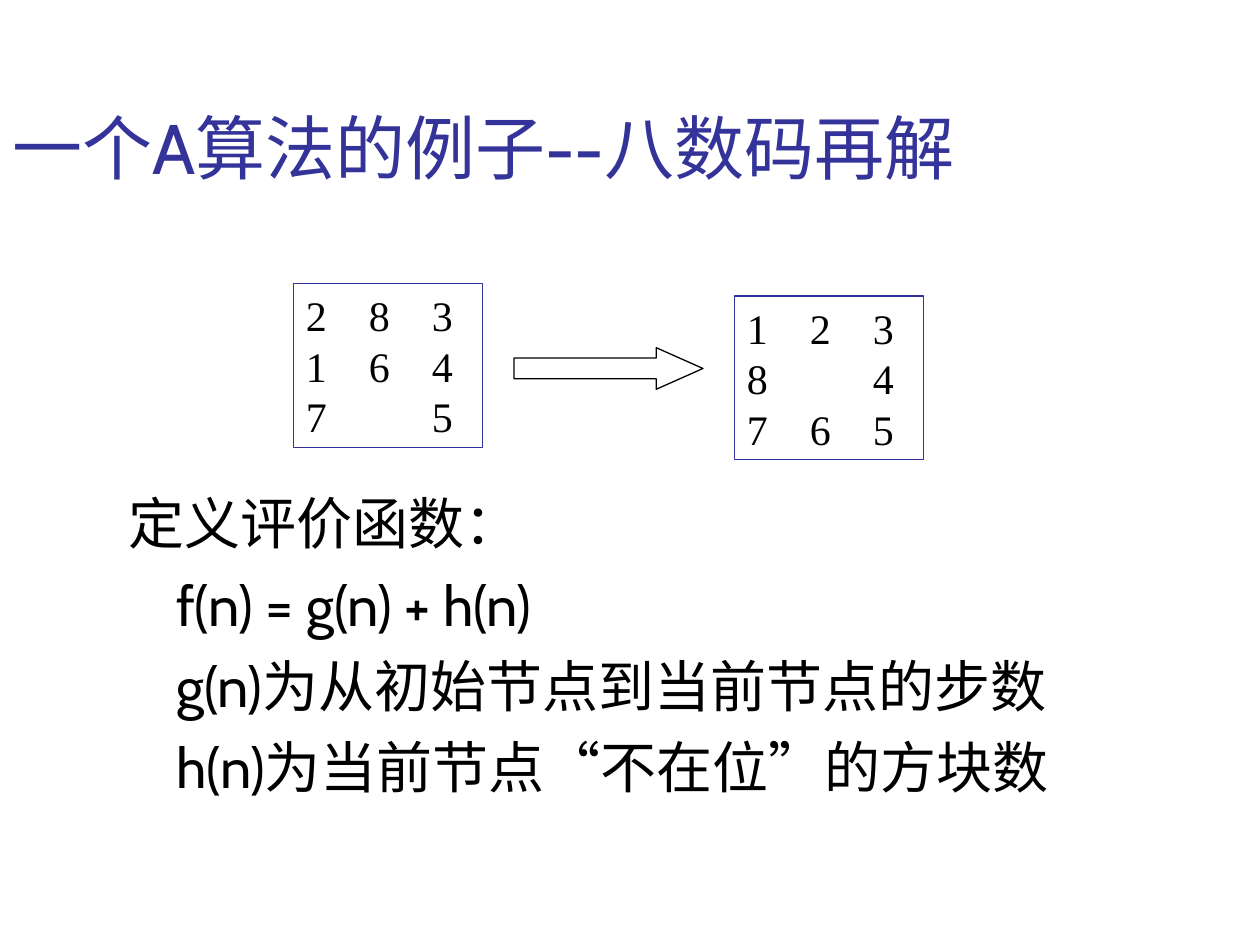
import pptx
import pptx.util
import pptx.dml.color
import pptx.enum.shapes
import pptx.enum.text
import pptx.oxml
import pptx.oxml.ns

Inches, Pt = pptx.util.Inches, pptx.util.Pt
SHAPE = pptx.enum.shapes.MSO_SHAPE
ANCHOR = pptx.enum.text.MSO_ANCHOR
LEFT = pptx.enum.text.PP_ALIGN.LEFT
NO_FIT = pptx.enum.text.MSO_AUTO_SIZE.NONE

NAVY = pptx.dml.color.RGBColor(0x33, 0x33, 0x99)
BLACK = pptx.dml.color.RGBColor(0, 0, 0)


class SlideBuilder:
    TITLE = {"size": Pt(40), "name": "Cabin"}
    BODY = {"size": Pt(32), "name": "Cabin"}
    DIGITS = {"size": Pt(24), "name": "Times New Roman"}
    COLUMN = 0.5  # distance between puzzle columns, inches

    def __init__(self, prs):
        self.s = prs.slides.add_slide(prs.slide_layouts[1])

    def place(self, sp, box):
        for name, value in zip(("left", "top", "width", "height"), box):
            setattr(sp, name, Inches(value))

    def add_text(self, p, text, style, color, **spacing):
        for name, value in {"alignment": LEFT, **spacing}.items():
            setattr(p, name, value)
        r = p.add_run()
        r.text = text
        for name, value in style.items():
            setattr(r.font, name, value)
        r.font.color.rgb = color

    def paragraphs(self, tf, count):
        for _ in range(count - 1):
            tf.add_paragraph()
        return tf.paragraphs

    def title(self, text, box):
        sp = self.s.shapes.title
        self.place(sp, box)
        tf = sp.text_frame
        tf.auto_size = NO_FIT
        tf.vertical_anchor = ANCHOR.BOTTOM
        self.add_text(tf.paragraphs[0], text, self.TITLE, NAVY)

    def body(self, lines, box):
        sp = self.s.placeholders[1]
        self.place(sp, box)
        tf = sp.text_frame
        tf.auto_size = NO_FIT
        for p, (indent, text) in zip(self.paragraphs(tf, len(lines)), lines):
            self.add_text(p, text, self.BODY, BLACK, space_before=Pt(8))
            pPr = p._p.get_or_add_pPr()
            pPr.set("marL", str(Inches(indent)))
            pPr.set("indent", "0")
            pPr.append(pptx.oxml.parse_xml(
                "<a:buNone %s/>" % pptx.oxml.ns.nsdecls("a")))

    def outline(self, kind, box, color):
        sp = self.s.shapes.add_shape(kind, *map(Inches, box))
        sp.shadow.inherit = False
        sp.fill.background()
        sp.line.color.rgb = color
        sp.line.width = Pt(0.75)
        return sp

    def puzzle(self, rows, box):
        tf = self.outline(SHAPE.RECTANGLE, box, NAVY).text_frame
        tf.vertical_anchor = ANCHOR.MIDDLE
        stops = "".join('<a:tab pos="%d" algn="l"/>' % Inches(self.COLUMN * i)
                        for i in (1, 2))
        for p, row in zip(self.paragraphs(tf, len(rows)), rows):
            self.add_text(p, "\t".join(row).replace(" ", ""), self.DIGITS,
                          BLACK, line_spacing=Pt(28.8))
            p._p.get_or_add_pPr().append(pptx.oxml.parse_xml(
                "<a:tabLst %s>%s</a:tabLst>"
                % (pptx.oxml.ns.nsdecls("a"), stops)))

    def arrow(self, box):
        sp = self.outline(SHAPE.RIGHT_ARROW, box, BLACK)
        sp.adjustments[0] = 0.5
        sp.adjustments[1] = 1.125


def main():
    prs = pptx.Presentation()
    prs.slide_width, prs.slide_height = Inches(10), Inches(7.5)
    slide = SlideBuilder(prs)

    # Title and evaluation function
    slide.title("一个A算法的例子--八数码再解", (0, 0.3, 9.5, 1.25))
    slide.body([
        (0, "定义评价函数："),
        (0.38, "f(n) = g(n) + h(n)"),
        (0.38, "g(n)为从初始节点到当前节点的步数"),
        (0.38, "h(n)为当前节点“不在位”的方块数"),
    ], (0.92, 3.83, 8.5, 3.33))

    # Start state, goal state and the arrow between them; a space is the gap
    slide.puzzle(["283", "164", "7 5"], (2.33, 2.25, 1.5, 1.3))
    slide.puzzle(["123", "8 4", "765"], (5.83, 2.35, 1.5, 1.3))
    slide.arrow((4.08, 2.76, 1.5, 0.33))

    prs.save("out.pptx")


if __name__ == "__main__":
    main()
